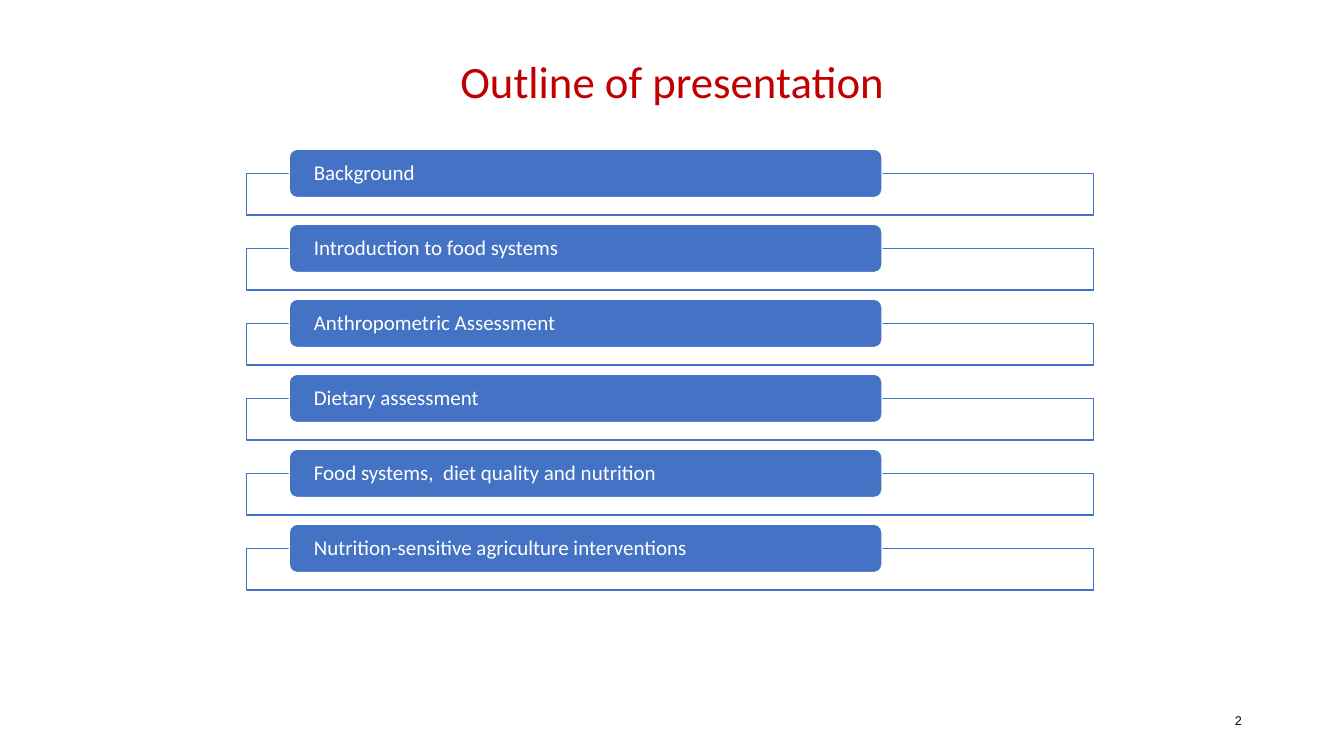
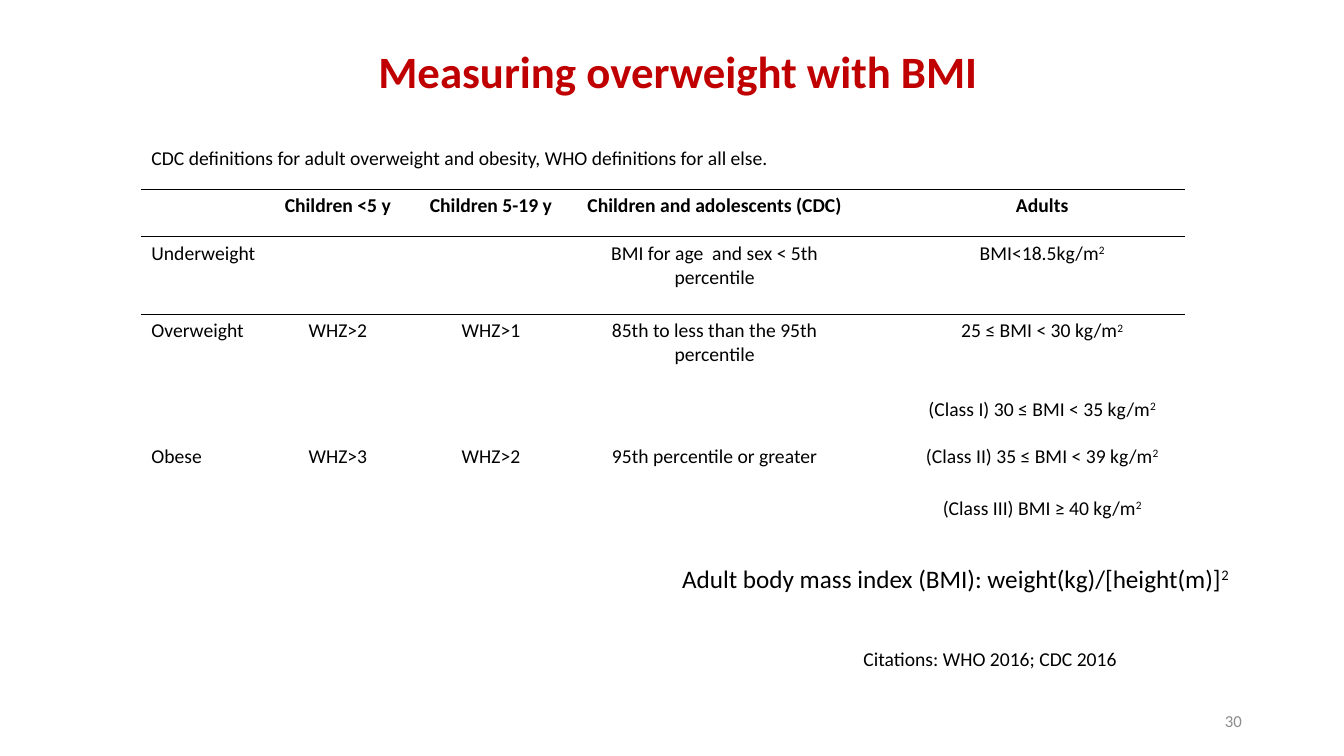
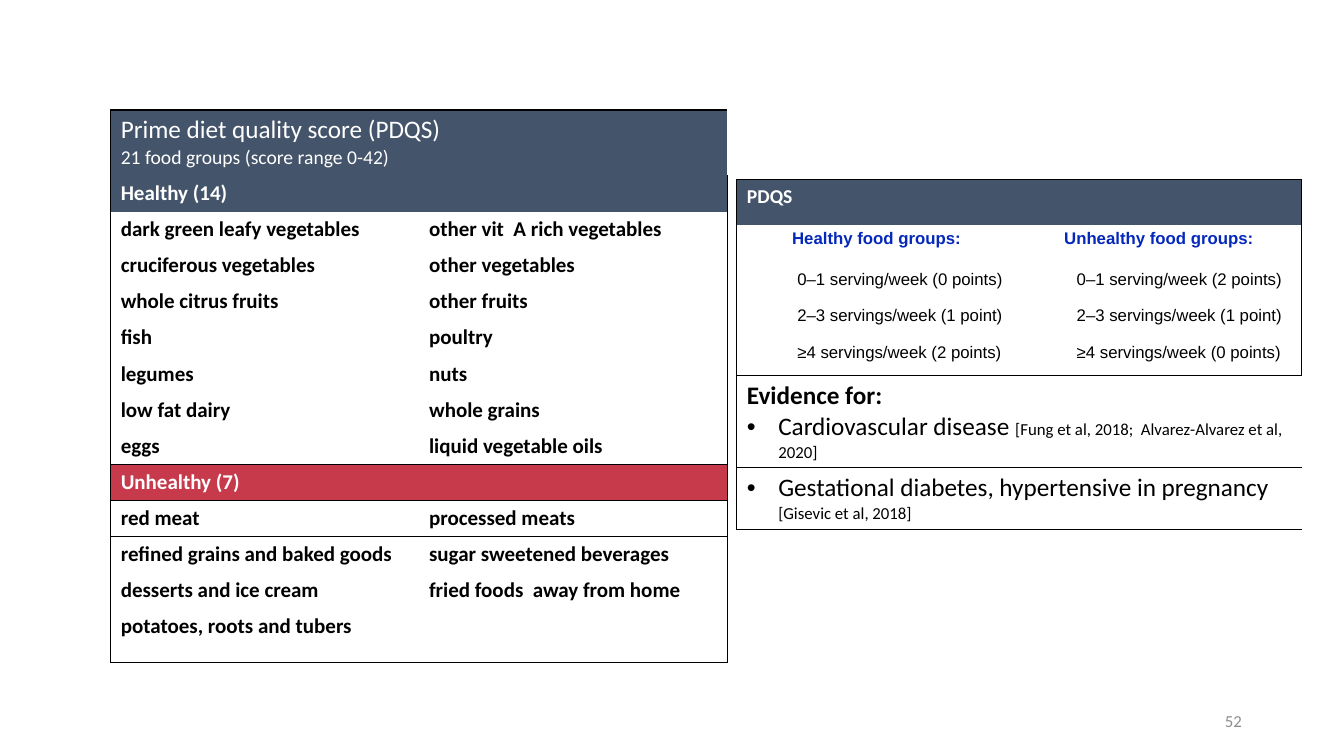
from dataclasses import dataclass, replace

from lxml import etree
from pptx import Presentation
from pptx.dml.color import RGBColor
from pptx.enum import shapes, text
from pptx.oxml import ns
from pptx.util import Cm, Pt

RED, BLUE, SLATE, CRIMSON = "C00000", "4472C4", "44546A", "C63A4B"
LINK_BLUE, GRAY, BLACK, WHITE = "0528BB", "8C8C8C", "000000", "FFFFFF"
PLAIN_TABLE = "{2D5ABB26-0587-4C30-8999-92F81FD0307C}"
TITLE_ONLY, BLANK = 5, 6
LEFT, CENTER, RIGHT = text.PP_ALIGN.LEFT, text.PP_ALIGN.CENTER, text.PP_ALIGN.RIGHT


@dataclass(frozen=True)
class Style:
    size: float = 14
    color: str = BLACK
    bold: bool = False
    font: str = "Calibri"
    raised: bool = False


@dataclass(frozen=True)
class Para:
    spans: tuple[tuple[str, Style], ...]
    align: text.PP_ALIGN = LEFT
    indent: float = 0
    level: int = 0
    bullet: bool = False


@dataclass(frozen=True)
class Cell:
    paras: tuple[Para, ...] = ()
    fill: str | None = None
    span: int = 1


@dataclass(frozen=True)
class Grid:
    left: float
    top: float
    columns: list[float]
    heights: list[float]
    rows: list[list[Cell]]
    ruled: tuple[int, ...]  # rows with a line above them
    framed: bool = False


def rgb(color: str) -> RGBColor:
    return RGBColor.from_string(color)


def line(words: str, style: Style, align: text.PP_ALIGN = LEFT) -> Para:
    return Para(((words, style),), align)


def squared(words: str, style: Style, align: text.PP_ALIGN = LEFT) -> Para:
    return Para(((words, style), ("2", replace(style, raised=True))), align)


def write_para(para, content: Para) -> None:
    para.alignment = content.align
    para.level = content.level
    if content.indent:
        properties = para._p.get_or_add_pPr()
        properties.set("marL", str(Cm(content.indent)))
        properties.set("indent", str(-Cm(content.indent) if content.bullet else 0))
        if content.bullet:
            etree.SubElement(properties, ns.qn("a:buFont")).set("typeface", "Arial")
            etree.SubElement(properties, ns.qn("a:buChar")).set("char", "•")
    for words, style in content.spans:
        span = para.add_run()
        span.text = words
        span.font.name, span.font.size = style.font, Pt(style.size)
        span.font.bold = style.bold
        span.font.color.rgb = rgb(style.color)
        if style.raised:
            span._r.get_or_add_rPr().set("baseline", "30000")


def write_frame(frame, paras: tuple[Para, ...]) -> None:
    for index, content in enumerate(paras):
        write_para(frame.add_paragraph() if index else frame.paragraphs[0], content)


def add_box(page, place: tuple[float, ...], content: Para, wrap: bool = True,
            anchor=text.MSO_ANCHOR.TOP) -> None:
    box = page.shapes.add_textbox(*map(Cm, place))
    box.text_frame.word_wrap = wrap
    box.text_frame.vertical_anchor = anchor
    write_frame(box.text_frame, (content,))


def add_title(page, place: tuple[float, ...], words: str, bold: bool) -> None:
    title = page.shapes.title
    title.left, title.top, title.width, title.height = map(Cm, place)
    title.text_frame.auto_size = text.MSO_AUTO_SIZE.NONE
    title.text_frame.vertical_anchor = text.MSO_ANCHOR.MIDDLE
    write_frame(title.text_frame, (line(words, Style(32, RED, bold), CENTER),))
    title.text_frame.paragraphs[0].line_spacing = 0.9


def add_page_number(page, number: str, style: Style = Style(12, GRAY)) -> None:
    add_box(page, (23.93, 17.65, 7.62, 1.02), line(number, style, RIGHT),
            anchor=text.MSO_ANCHOR.MIDDLE)


def add_bar(page, kind, place: tuple[float, ...], fill: str, edge: str):
    bar = page.shapes.add_shape(kind, *map(Cm, place))
    bar.shadow.inherit = False
    bar.fill.solid()
    bar.fill.fore_color.rgb = rgb(fill)
    bar.line.color.rgb = rgb(edge)
    bar.line.width = Pt(1)
    return bar


def draw_border(cell, side: str) -> None:
    border = etree.SubElement(cell._tc.get_or_add_tcPr(), ns.qn(f"a:ln{side}"), w=str(Pt(1)))
    paint = etree.SubElement(border, ns.qn("a:solidFill"))
    etree.SubElement(paint, ns.qn("a:srgbClr"), val=BLACK)


def add_grid(page, grid: Grid) -> None:
    row_count, column_count = len(grid.heights), len(grid.columns)
    table = page.shapes.add_table(
        row_count, column_count, Cm(grid.left), Cm(grid.top),
        Cm(sum(grid.columns)), Cm(sum(grid.heights))).table
    table.first_row = table.horz_banding = False
    table._tbl.tblPr.find(ns.qn("a:tableStyleId")).text = PLAIN_TABLE
    for column, width in zip(table.columns, grid.columns):
        column.width = Cm(width)
    for row, height in zip(table.rows, grid.heights):
        row.height = Cm(height)

    for r, contents in enumerate(grid.rows):
        for c in range(column_count):
            cell = table.cell(r, c)
            # Borders come before the fill, in the order left, right, top, bottom
            sides = {
                "L": grid.framed and c == 0,
                "R": grid.framed and c == column_count - 1,
                "T": r in grid.ruled or grid.framed and r == 0,
                "B": r + 1 in grid.ruled or grid.framed and r == row_count - 1,
            }
            for side, drawn in sides.items():
                if drawn:
                    draw_border(cell, side)
            content = contents[c] if c < len(contents) else Cell(fill=contents[0].fill)
            if content.fill:
                cell.fill.solid()
                cell.fill.fore_color.rgb = rgb(content.fill)
            else:
                cell.fill.background()
            write_frame(cell.text_frame, content.paras)
            if not content.paras:
                etree.SubElement(cell.text_frame.paragraphs[0]._p,
                                 ns.qn("a:endParaRPr"), sz="1400")
            if content.span > 1:
                cell.merge(table.cell(r, c + content.span - 1))


def build_outline(deck) -> None:
    page = deck.slides.add_slide(deck.slide_layouts[TITLE_ONLY])
    add_title(page, (2.34, 1.02, 29.21, 2.21), "Outline of presentation", False)
    topics = [
        "Background", "Introduction to food systems", "Anthropometric Assessment",
        "Dietary assessment", "Food systems,  diet quality and nutrition",
        "Nutrition-sensitive agriculture interventions",
    ]
    for index, topic in enumerate(topics):
        top = 3.76 + 1.89 * index
        add_bar(page, shapes.MSO_SHAPE.RECTANGLE, (6.22, top + 0.61, 21.34, 1.05), WHITE, BLUE)
        label = add_bar(page, shapes.MSO_SHAPE.ROUNDED_RECTANGLE,
                        (7.29, top, 14.94, 1.22), BLUE, WHITE)
        frame = label.text_frame
        frame.margin_left = frame.margin_right = Cm(0.56)
        frame.margin_top = frame.margin_bottom = 0
        frame.vertical_anchor = text.MSO_ANCHOR.MIDDLE
        write_frame(frame, (line(topic, Style(15, WHITE)),))
        frame.paragraphs[0].line_spacing = 0.9
    add_page_number(page, "2", Style(9, BLACK, font="Arial"))


def build_bmi(deck) -> None:
    page = deck.slides.add_slide(deck.slide_layouts[TITLE_ONLY])
    add_title(page, (3.07, 1.12, 28.04, 1.5), "Measuring overweight with BMI", True)
    body, head = Style(), Style(bold=True)

    def centered(words: str, style: Style = body) -> Cell:
        return Cell((line(words, style, CENTER),) if words else ())

    def measure(name: str, young: str, school: str, teen: str, adult: str) -> list[Cell]:
        return [Cell((line(name, body),) if name else ()), centered(young),
                centered(school), centered(teen), Cell(),
                Cell((squared(adult, body, CENTER),))]

    heads = ["", "Children <5 y", "Children 5-19 y", "Children and adolescents (CDC)",
             "", "Adults"]
    note = "CDC definitions for adult overweight and obesity, WHO definitions for all else."
    add_grid(page, Grid(
        3.56, 3.58, [3.15, 3.61, 4.11, 7.16, 1.07, 7.21],
        [1.19, 1.19, 1.96, 1.98, 1.19, 1.3, 1.19],
        [
            [Cell((line(note, body),), span=6)],
            [centered(words, head) for words in heads],
            measure("Underweight", "", "", "BMI for age  and sex < 5th percentile",
                    "BMI<18.5kg/m"),
            measure("Overweight", "WHZ>2", "WHZ>1", "85th to less than the 95th percentile",
                    "25 ≤ BMI < 30 kg/m"),
            measure("", "", "", "", "(Class I) 30 ≤ BMI < 35 kg/m"),
            measure("Obese", "WHZ>3", "WHZ>2", "95th percentile or greater",
                    "(Class II) 35 ≤ BMI < 39 kg/m"),
            measure("", "", "", "", "(Class III) BMI ≥ 40 kg/m"),
        ],
        ruled=(1, 2)))

    # Formula and sources under the table
    add_box(page, (16.94, 14.07, 14.66, 2.11),
            squared("Adult body mass index (BMI): weight(kg)/[height(m)]", Style(18)))
    add_box(page, (21.44, 16.18, 6.96, 0.86),
            line("Citations: WHO 2016; CDC 2016", body, RIGHT), wrap=False)
    add_page_number(page, "30")


def build_diet_score(deck) -> None:
    page = deck.slides.add_slide(deck.slide_layouts[BLANK])
    food = Style(15, bold=True)
    heading = replace(food, color=WHITE)

    def food_rows(pairs: list[tuple[str, str]]) -> list[list[Cell]]:
        return [[Cell((line(words, food),) if words else (), WHITE) for words in pair]
                for pair in pairs]

    # Food groups
    healthy = [
        ("dark green leafy vegetables", "other vit  A rich vegetables"),
        ("cruciferous vegetables", "other vegetables"),
        ("whole citrus fruits", "other fruits"),
        ("fish", "poultry"),
        ("legumes", "nuts"),
        ("low fat dairy", "whole grains"),
        ("eggs", "liquid vegetable oils"),
    ]
    unhealthy = [
        ("red meat", "processed meats"),
        ("refined grains and baked goods", "sugar sweetened beverages"),
        ("desserts and ice cream", "fried foods  away from home"),
        ("potatoes, roots and tubers", ""),
    ]
    banner = (line("Prime diet quality score (PDQS)", Style(18, WHITE)),
              line("21 food groups (score range 0-42)", Style(14, WHITE)))
    add_grid(page, Grid(
        2.79, 2.77, [7.77, 7.77], [1.65] + [0.91] * 12 + [1.35],
        [
            [Cell(banner, SLATE, 2)],
            [Cell((line("Healthy (14)", heading),), SLATE)],
            *food_rows(healthy),
            [Cell((line("Unhealthy (7)", heading),), CRIMSON)],
            *food_rows(unhealthy),
        ],
        ruled=(9, 10), framed=True))

    # Scoring and evidence
    group = Style(12, LINK_BLUE, True, "Arial")
    score = Style(12, font="Arial")
    scores = [
        ("0–1 serving/week (0 points)", "0–1 serving/week (2 points)"),
        ("2–3 servings/week (1 point)", "2–3 servings/week (1 point)"),
        ("≥4 servings/week (2 points)", "≥4 servings/week (0 points)"),
    ]

    def evidence(finding: str, source: str) -> Para:
        return Para(((finding, Style(18)), (source, Style(12))), indent=0.79, bullet=True)

    add_grid(page, Grid(
        18.57, 4.52, [7.04, 7.19], [1.14, 1.02, 0.91, 0.94, 0.94, 2.31, 1.57],
        [
            [Cell((line("PDQS", Style(14, WHITE, True)),), SLATE)],
            [Cell((line(words, group, CENTER),), WHITE)
             for words in ("Healthy food groups:", "Unhealthy food groups:")],
            *[[Cell((Para(((words, score),), indent=1.27, level=1),), WHITE)
               for words in pair] for pair in scores],
            [Cell((line("Evidence for:", Style(18, bold=True)),
                   evidence("Cardiovascular disease ",
                            "[Fung et al, 2018;  Alvarez-Alvarez et al, 2020]")), WHITE, 2)],
            [Cell((evidence("Gestational diabetes, hypertensive in pregnancy ",
                            "[Gisevic et al, 2018]"),), WHITE, 2)],
        ],
        ruled=(5, 6), framed=True))
    add_page_number(page, "52")


def main() -> None:
    deck = Presentation()
    deck.slide_width, deck.slide_height = Cm(33.87), Cm(19.05)
    build_outline(deck)
    build_bmi(deck)
    build_diet_score(deck)
    deck.save("out.pptx")


if __name__ == "__main__":
    main()
